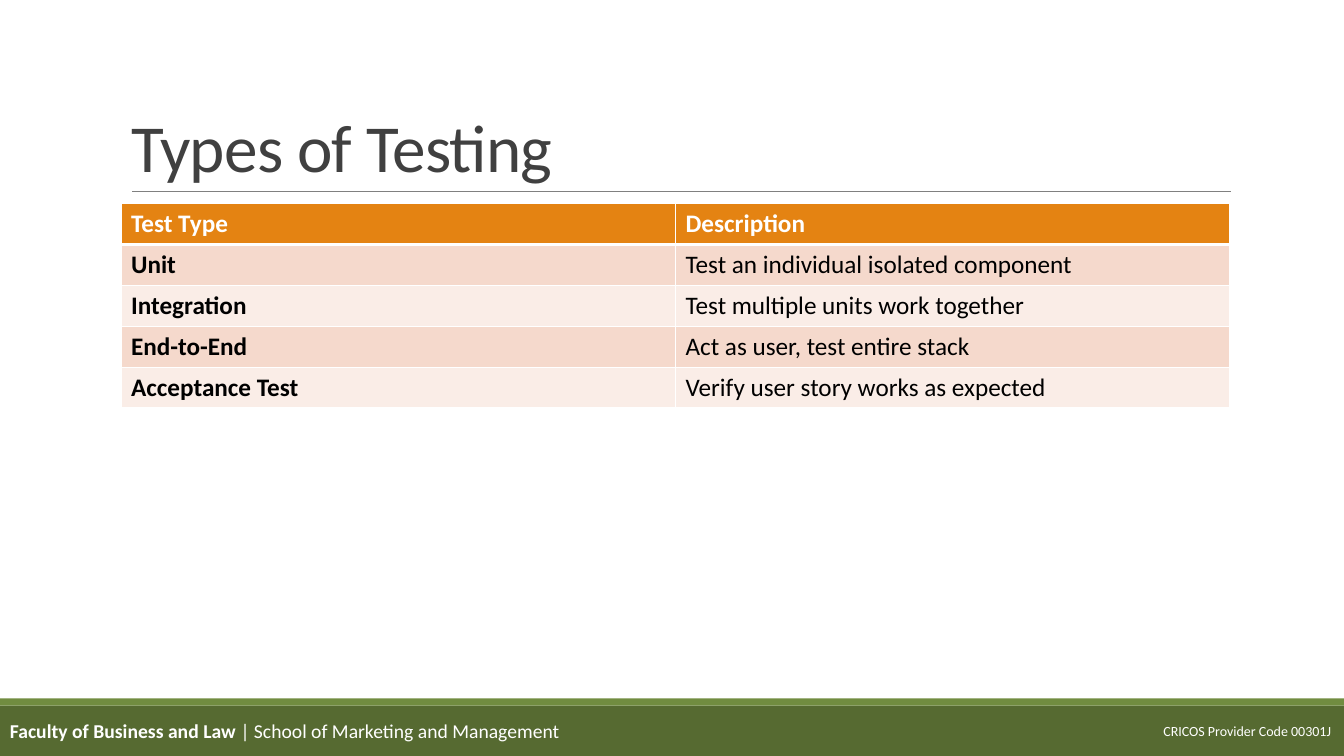
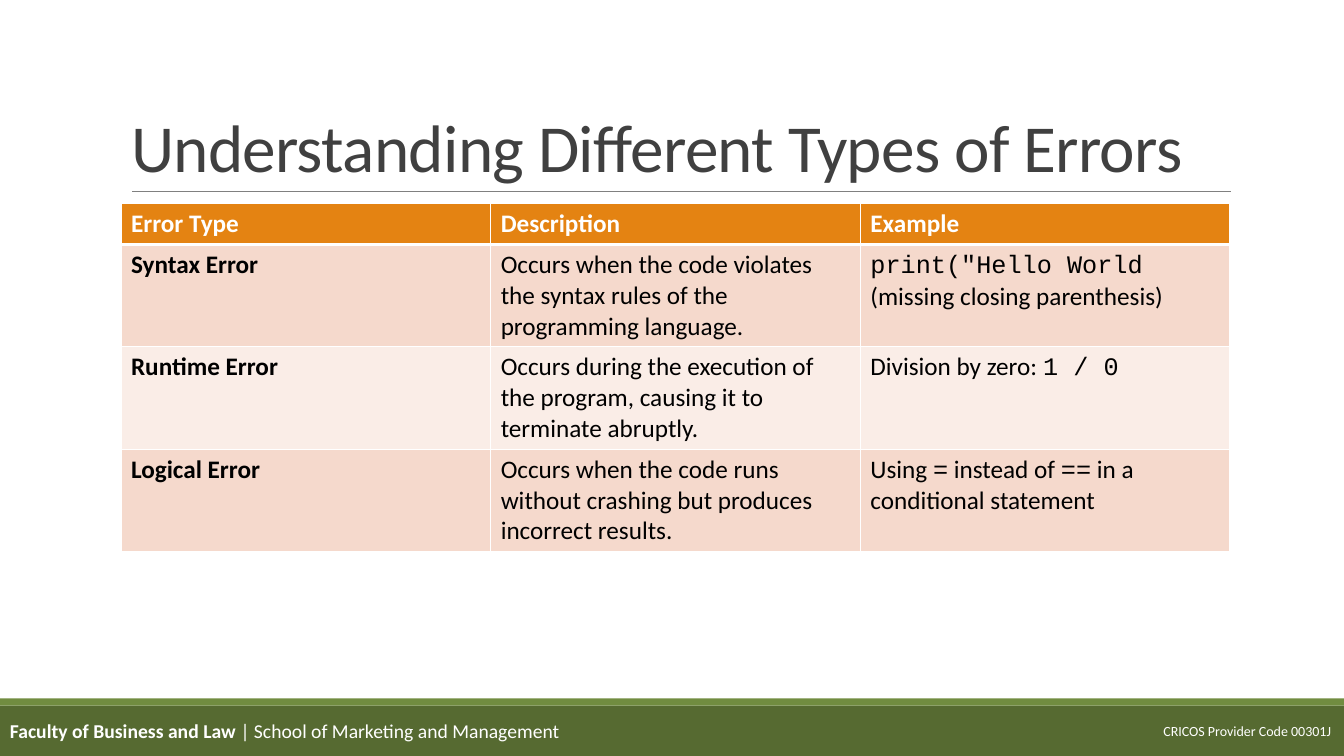
from lxml import etree
from pptx import Presentation
from pptx.dml.color import RGBColor as RGB
from pptx.enum.shapes import MSO_CONNECTOR as LINE, MSO_SHAPE as SHAPE
from pptx.enum.text import MSO_ANCHOR as ANCHOR, MSO_AUTO_SIZE as FIT, PP_ALIGN as ALIGN
from pptx.oxml.ns import qn
from pptx.util import Inches, Pt

# Shared colours and fonts
WHITE = RGB(0xFF, 0xFF, 0xFF)
BLACK = RGB(0, 0, 0)
INK = RGB(0x40, 0x40, 0x40)
GREY = RGB(0x80, 0x80, 0x80)
GREEN = RGB(0x56, 0x6A, 0x31)
LIME = RGB(0x71, 0x8C, 0x40)
ORANGE = RGB(0xE4, 0x83, 0x12)
PEACH = RGB(0xF5, 0xD9, 0xCC)
CREAM = RGB(0xFA, 0xED, 0xE7)
BODY, CODE = "Calibri", "Courier New"

# Titles and tables; backticks mark code
PAGES = [
    ("Types of Testing", [
        ["Test Type", "Description"],
        ["Unit", "Test an individual isolated component"],
        ["Integration", "Test multiple units work together"],
        ["End-to-End", "Act as user, test entire stack"],
        ["Acceptance Test", "Verify user story works as expected"],
    ]),
    ("Understanding Different Types of Errors", [
        ["Error Type", "Description", "Example"],
        ["Syntax Error",
         "Occurs when the code violates the syntax rules of the programming language.",
         "`print(\"Hello World` (missing closing parenthesis)"],
        ["Runtime Error",
         "Occurs during the execution of the program, causing it to terminate abruptly.",
         "Division by zero: `1 / 0`"],
        ["Logical Error",
         "Occurs when the code runs without crashing but produces incorrect results.",
         "Using `=` instead of `==` in a conditional statement"],
    ]),
]


def write(par, parts, size, color):
    """Fill a paragraph with (text, font, bold) runs."""
    for text, face, bold in parts:
        run = par.add_run()
        run.text = text
        font = run.font
        font.name, font.size, font.bold = face, Pt(size), bold
        font.color.rgb = color


def edge(cell, side, width):
    """Draw one white border of a table cell."""
    line = etree.SubElement(cell._tc.get_or_add_tcPr(), qn("a:ln" + side), w=str(Pt(width)))
    fill = etree.SubElement(line, qn("a:solidFill"))
    etree.SubElement(fill, qn("a:srgbClr"), val=str(WHITE))


deck = Presentation()
deck.slide_width, deck.slide_height = Inches(13.33), Inches(7.5)

for name, rows in PAGES:
    slide = deck.slides.add_slide(deck.slide_layouts[5])
    shapes = slide.shapes

    # Bottom bands
    for top, high, color in [(7, 0.5, GREEN), (6.93, 0.07, LIME)]:
        band = shapes.add_shape(SHAPE.RECTANGLE, 0, Inches(top), deck.slide_width, Inches(high))
        band.shadow.inherit = False
        band.fill.solid()
        band.fill.fore_color.rgb = color
        band.line.fill.background()

    # Rule under the title
    rule = shapes.add_connector(LINE.STRAIGHT, Inches(1.31), Inches(1.9), Inches(12.21), Inches(1.9))
    rule.line.color.rgb = GREY
    rule.line.width = Pt(0.5)
    etree.SubElement(rule._element.spPr, qn("a:effectLst"))

    # Title
    title = shapes.title
    title.left, title.top = Inches(1.2), Inches(0.31)
    title.width, title.height = Inches(11), Inches(1.59)
    frame = title.text_frame
    frame.auto_size = FIT.NONE
    frame.vertical_anchor = ANCHOR.BOTTOM
    par = frame.paragraphs[0]
    par.alignment = ALIGN.LEFT
    par.line_spacing = 0.85
    write(par, [(name, BODY, False)], 48, INK)
    par.runs[0].font._element.set("spc", "-50")

    # Table
    count = len(rows[0])
    table = shapes.add_table(len(rows), count, Inches(1.2), Inches(2.02),
                             Inches(11), Inches(0.4 * len(rows))).table
    for r, row in enumerate(rows):
        for c, text in enumerate(row):
            cell = table.cell(r, c)
            for side in "LRTB":
                edge(cell, side, 3 if r == 0 and side == "B" else 1)
            cell.fill.solid()
            cell.fill.fore_color.rgb = ORANGE if r == 0 else PEACH if r % 2 else CREAM
            bold = r == 0 or c == 0
            parts = [(bit, CODE if i % 2 else BODY, bold)
                     for i, bit in enumerate(text.split("`")) if bit]
            write(cell.text_frame.paragraphs[0], parts, 18, BLACK if r else WHITE)

    # Footer texts
    frame = shapes.add_textbox(0, Inches(7.05), Inches(10.97), Inches(0.4)).text_frame
    frame.word_wrap = True
    frame.vertical_anchor = ANCHOR.MIDDLE
    write(frame.paragraphs[0], [("Faculty of Business and Law ", BODY, True),
                                ("| School of Marketing and Management", BODY, False)], 14, WHITE)
    frame = shapes.add_textbox(Inches(11.44), Inches(7.12), Inches(1.9), Inches(0.27)).text_frame
    frame.word_wrap = False
    frame.auto_size = FIT.SHAPE_TO_FIT_TEXT
    write(frame.paragraphs[0], [("CRICOS Provider Code 00301J", BODY, False)], 10, WHITE)

deck.save("out.pptx")
